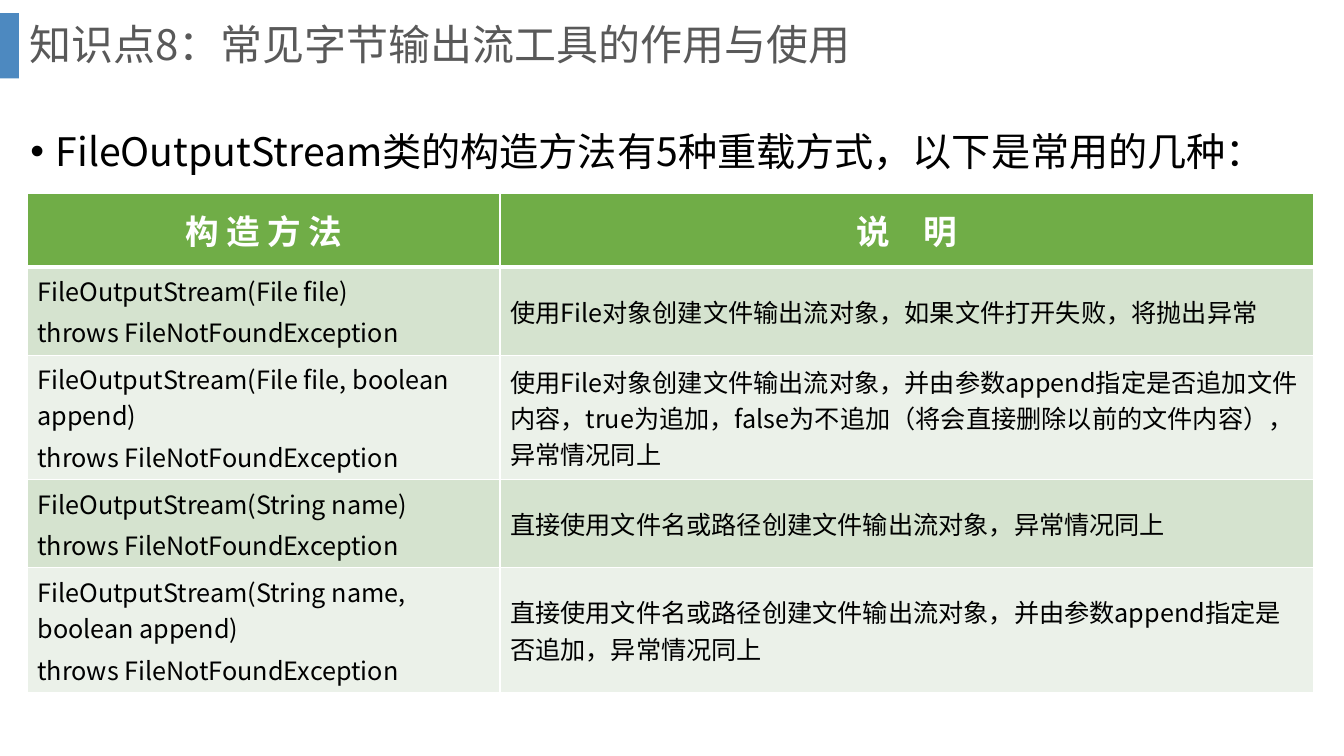
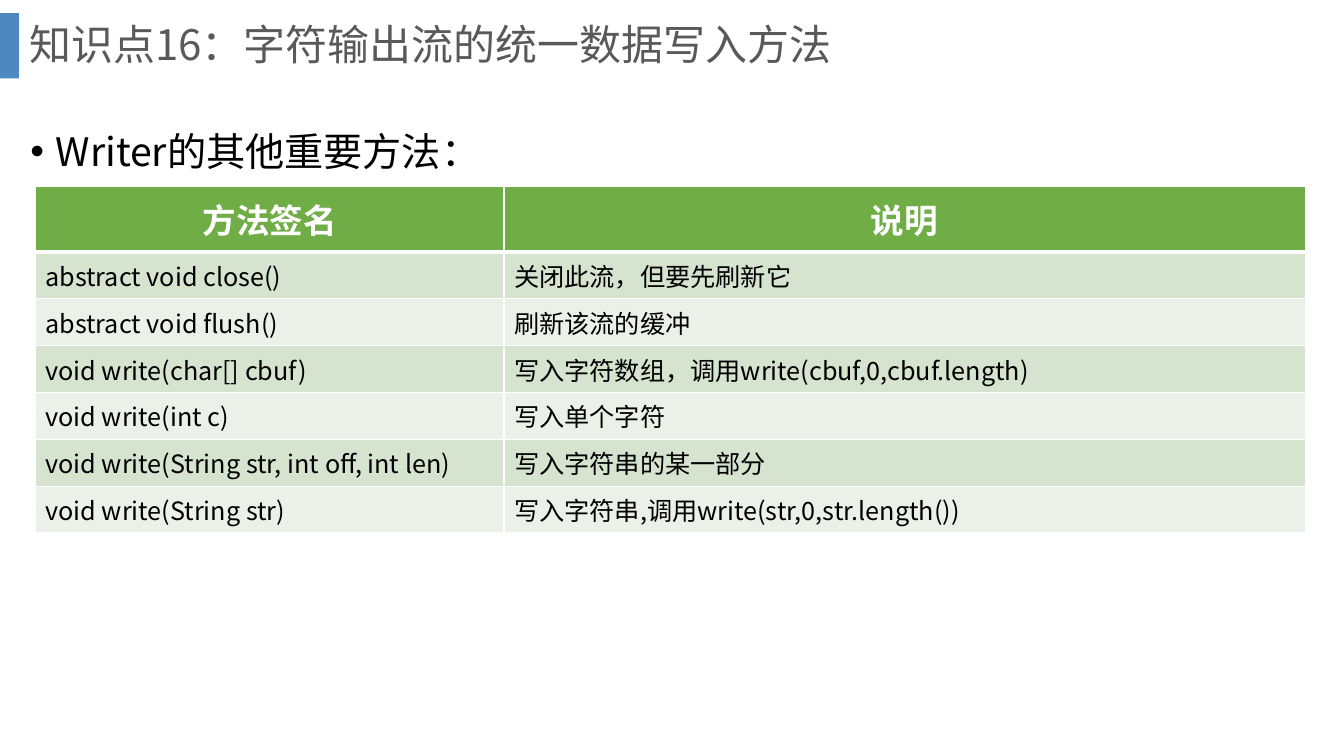
from lxml import etree
from pptx import Presentation
from pptx.dml.color import RGBColor
from pptx.enum.shapes import MSO_SHAPE as Shape
from pptx.enum.text import MSO_ANCHOR as Anchor, MSO_AUTO_SIZE as AutoSize, PP_ALIGN as Align
from pptx.oxml.ns import qn
from pptx.util import Cm, Pt

FONT = "Noto Sans CJK SC"
BLUE, GREY, BLACK, WHITE = "2E75B6", "595959", "000000", "FFFFFF"
GREEN, BANDS = "70AD47", ("D5E3CF", "EBF1E9")

# Content: lengths in cm, one list of lines for a cell with several paragraphs
THROWS = "throws FileNotFoundException"
PAGES = [
    dict(
        title="知识点8：常见字节输出流工具的作用与使用",
        lead="FileOutputStream类的构造方法有5种重载方式，以下是常用的几种：",
        origin=(0.69, 4.88), columns=(11.91, 20.5),
        heights=(1.85, 2.21, 3.14, 2.21, 3.14),
        rows=[
            ("构 造 方 法", "说　明"),
            (["FileOutputStream(File file)", THROWS],
             "使用File对象创建文件输出流对象，如果文件打开失败，将抛出异常"),
            (["FileOutputStream(File file, boolean append)", THROWS],
             "使用File对象创建文件输出流对象，并由参数append指定是否追加文件内容，"
             "true为追加，false为不追加（将会直接删除以前的文件内容），异常情况同上"),
            (["FileOutputStream(String name)", THROWS],
             "直接使用文件名或路径创建文件输出流对象，异常情况同上"),
            (["FileOutputStream(String name, boolean append)", THROWS],
             "直接使用文件名或路径创建文件输出流对象，并由参数append指定是否追加，异常情况同上"),
        ],
    ),
    dict(
        title="知识点16：字符输出流的统一数据写入方法",
        lead="Writer的其他重要方法：",
        origin=(0.89, 4.7), columns=(11.81, 20.19),
        heights=(1.65,) + (1.18,) * 6,
        rows=[
            ("方法签名", "说明"),
            ("abstract void close()", "关闭此流，但要先刷新它"),
            ("abstract void flush()", "刷新该流的缓冲"),
            ("void write(char[] cbuf)", "写入字符数组，调用write(cbuf,0,cbuf.length)"),
            ("void write(int c)", "写入单个字符"),
            ("void write(String str, int off, int len)", "写入字符串的某一部分"),
            ("void write(String str)", "写入字符串,调用write(str,0,str.length())"),
        ],
    ),
]


def color(value):
    return RGBColor.from_string(value)


def add_xml(parent, tag, **attributes):
    return etree.SubElement(parent, qn(tag), attributes)


def write(frame, text, size, fill, bold=False, align=Align.LEFT, spacing=1.0, gap=0, bullet=False):
    """Fill a text frame with one paragraph for each line of text."""
    lines = [text] if isinstance(text, str) else text
    for index, line in enumerate(lines):
        para = frame.add_paragraph() if index else frame.paragraphs[0]
        para.alignment, para.line_spacing = align, spacing
        para.space_before = Pt(gap if index else 0)
        if bullet:
            props = para._p.get_or_add_pPr()
            props.set("marL", str(Cm(0.64)))
            props.set("indent", str(-Cm(0.64)))
            add_xml(props, "a:buFont", typeface="Arial")
            add_xml(props, "a:buChar", char="•")
        span = para.add_run()
        span.text = line
        font = span.font
        font.name, font.size, font.bold = FONT, Pt(size), bold
        font.color.rgb = color(fill)
        add_xml(span._r.get_or_add_rPr(), "a:ea", typeface=FONT)


def place(box, left, top, width, height):
    box.left, box.top, box.width, box.height = map(Cm, (left, top, width, height))


def style_layout(layout, page):
    """Set the shared title and body places and the blue band."""
    place(layout.placeholders[0], 0.48, 0, 32.16, 2.36)
    place(layout.placeholders[1], 0.51, 2.49, 32.77, 15.14)
    band = page.shapes.add_shape(Shape.RECTANGLE, 0, Cm(0.33), Cm(0.48), Cm(1.65))
    band.shadow.inherit = False
    band.fill.solid()
    band.fill.fore_color.rgb = color(BLUE)
    add_xml(band.element.spPr.find(".//" + qn("a:srgbClr")), "a:alpha", val="85000")
    band.line.fill.background()
    layout.shapes.element.append(band.element)


def style_cell(cell, fill, bottom):
    cell.vertical_anchor = Anchor.MIDDLE
    props = cell._tc.get_or_add_tcPr()
    for side in "LRTB":
        width = bottom if side == "B" else 1
        line = add_xml(props, "a:ln" + side, w=str(Pt(width)))
        add_xml(add_xml(line, "a:solidFill"), "a:srgbClr", val=WHITE)
    cell.fill.solid()
    cell.fill.fore_color.rgb = color(fill)


def add_grid(page, origin, columns, heights, rows):
    left, top = origin
    grid = page.shapes.add_table(len(rows), len(columns), Cm(left), Cm(top),
                                 Cm(sum(columns)), Cm(sum(heights))).table
    for column, width in zip(grid.columns, columns):
        column.width = Cm(width)
    for index, (row, height, texts) in enumerate(zip(grid.rows, heights, rows)):
        row.height = Cm(height)
        for cell, text in zip(row.cells, texts):
            if index == 0:
                style_cell(cell, GREEN, bottom=3)
                write(cell.text_frame, text, 24, WHITE, bold=True, align=Align.CENTER)
            else:
                style_cell(cell, BANDS[(index - 1) % 2], bottom=1)
                write(cell.text_frame, text, 18, BLACK, gap=3.6)


def main():
    deck = Presentation()
    deck.slide_width, deck.slide_height = Cm(33.87), Cm(19.05)
    layout = deck.slide_layouts[1]
    for number, content in enumerate(PAGES):
        page = deck.slides.add_slide(layout)
        if number == 0:
            style_layout(layout, page)
        # Title and lead line
        title, body = page.shapes.title.text_frame, page.placeholders[1].text_frame
        title.vertical_anchor, body.vertical_anchor = Anchor.MIDDLE, Anchor.TOP
        title.auto_size = body.auto_size = AutoSize.NONE
        write(title, content["title"], 30, GREY, spacing=0.9)
        write(body, content["lead"], 28, BLACK, spacing=1.5, bullet=True)
        # Table
        add_grid(page, content["origin"], content["columns"], content["heights"], content["rows"])
    deck.save("out.pptx")


if __name__ == "__main__":
    main()
